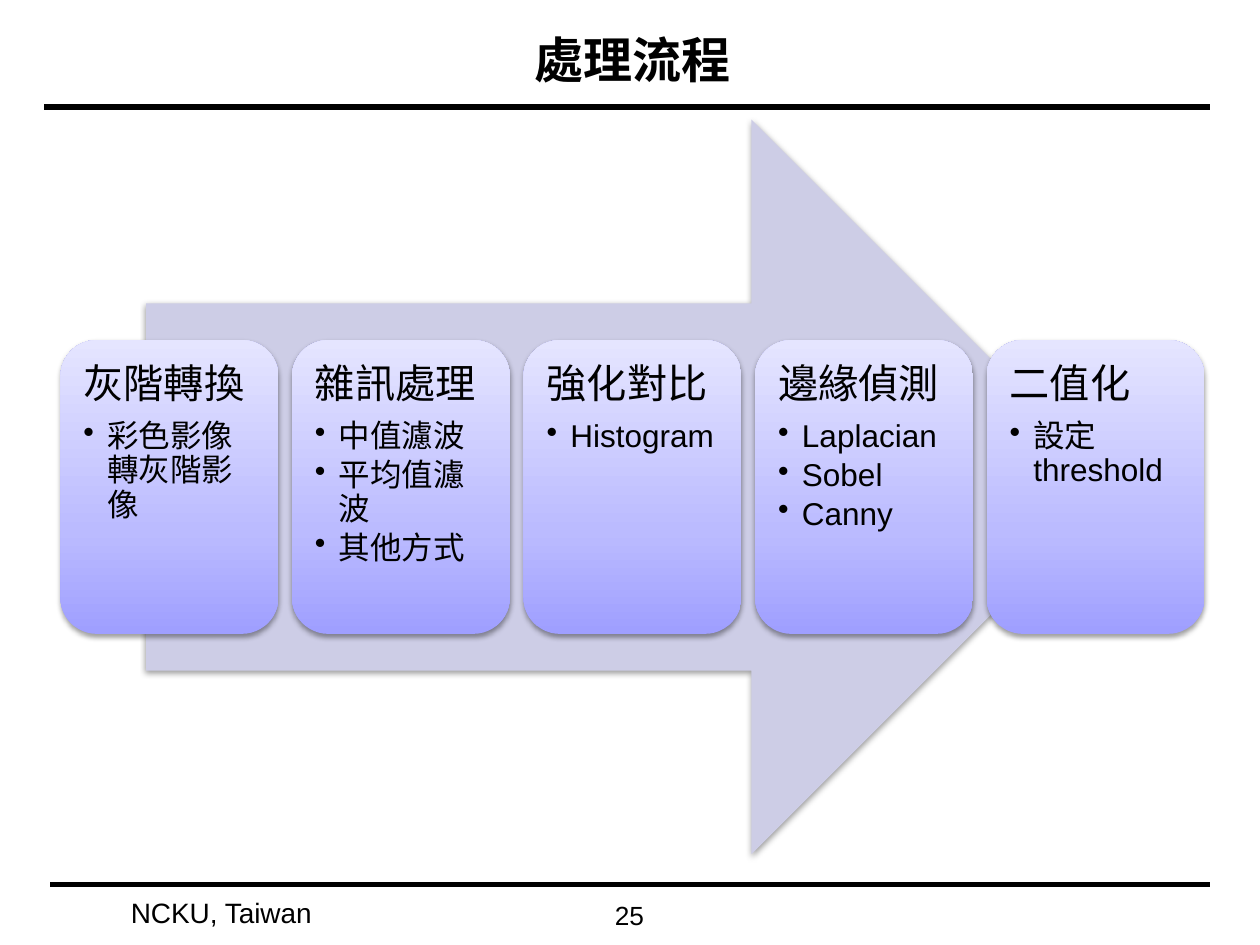
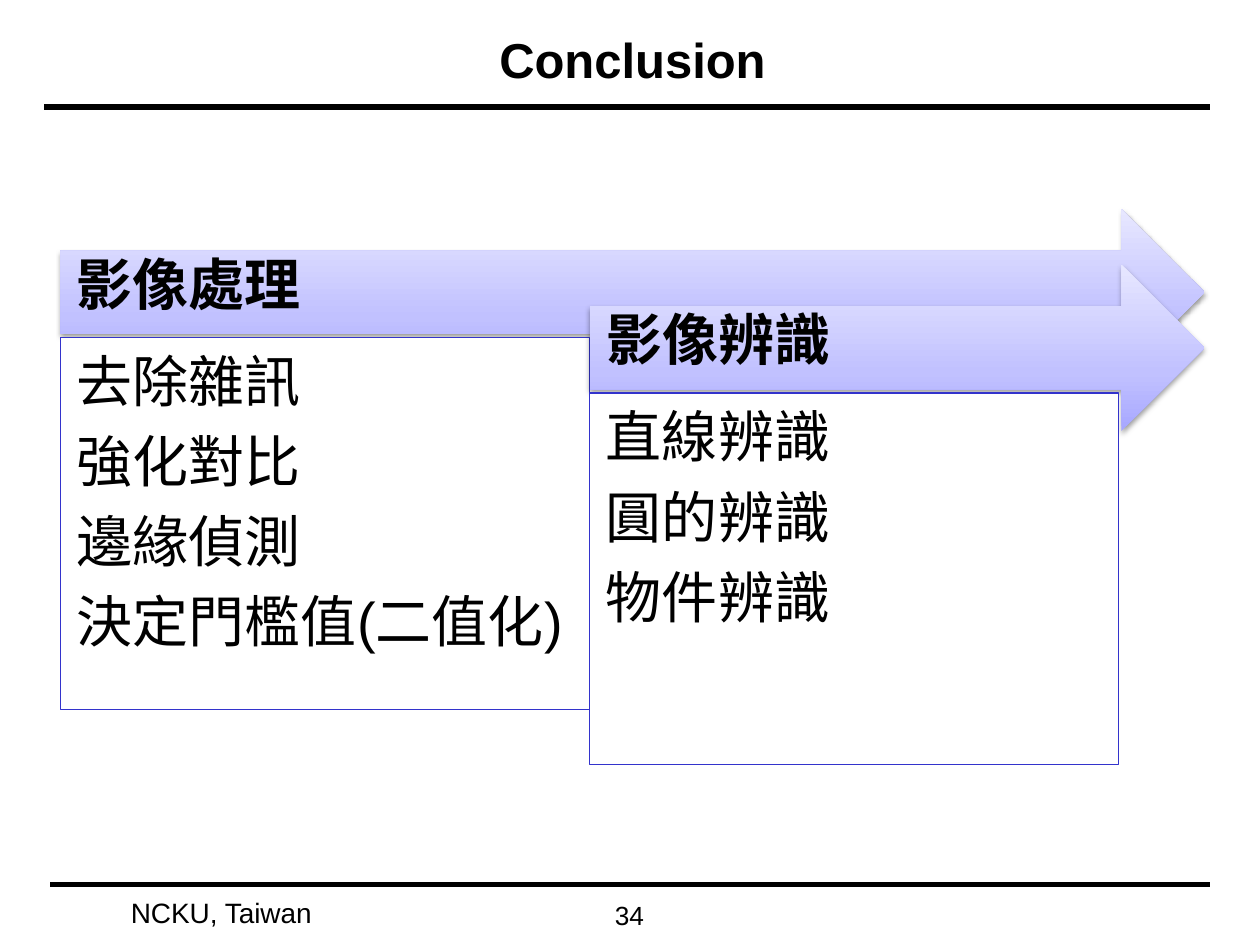
from pptx import Presentation
from pptx.dml.color import RGBColor
from pptx.enum.shapes import MSO_CONNECTOR, MSO_SHAPE
from pptx.enum.text import MSO_ANCHOR, PP_ALIGN
from pptx.oxml.ns import qn
from pptx.util import Inches, Pt
from lxml import etree

BLACK = RGBColor(0x00, 0x00, 0x00)
WHITE = RGBColor(0xFF, 0xFF, 0xFF)
BLUE = RGBColor(0x33, 0x33, 0xCC)
PALE = RGBColor(0xCD, 0xCD, 0xE6)
CARD = (RGBColor(0x9F, 0x9F, 0xFF), RGBColor(0xBB, 0xBB, 0xFF), RGBColor(0xE5, 0xE5, 0xFF))
BAND = (RGBColor(0xA7, 0xA7, 0xFF), RGBColor(0xC1, 0xC1, 0xFF), RGBColor(0xE7, 0xE7, 0xFF))
STOPS = (0, 35000, 100000)
FONT = "Arial"

ARROW = MSO_SHAPE.RIGHT_ARROW
ROUND = MSO_SHAPE.ROUNDED_RECTANGLE
RECT = MSO_SHAPE.RECTANGLE
LINE = MSO_CONNECTOR.STRAIGHT
LEFT, CENTER = PP_ALIGN.LEFT, PP_ALIGN.CENTER
TOP, MIDDLE = MSO_ANCHOR.TOP, MSO_ANCHOR.MIDDLE

STEPS = [
    ("灰階轉換", ["彩色影像轉灰階影像"]),
    ("雜訊處理", ["中值濾波", "平均值濾波", "其他方式"]),
    ("強化對比", ["Histogram"]),
    ("邊緣偵測", ["Laplacian", "Sobel", "Canny"]),
    ("二值化", ["設定threshold"]),
]
TOPICS = [
    ("影像處理", ["去除雜訊", "強化對比", "邊緣偵測", "決定門檻值(二值化)"]),
    ("影像辨識", ["直線辨識", "圓的辨識", "物件辨識"]),
]


def node(parent, tag, **attrs):
    """Add a drawing element with attributes."""
    return etree.SubElement(parent, qn(tag), {k: str(v) for k, v in attrs.items()})


def write(par, text, size, bold=False, align=LEFT):
    """Write one run into a paragraph."""
    par.alignment = align
    run = par.add_run()
    run.text = text
    font = run.font
    font.name, font.size, font.bold = FONT, Pt(size), bold
    font.color.rgb = BLACK


def fill_text(shape, items, pads, anchor=TOP):
    """Fill a shape with (text, size, bold, bullet) paragraphs."""
    frame = shape.text_frame
    frame.word_wrap = True
    frame.vertical_anchor = anchor
    frame.margin_left, frame.margin_top, frame.margin_right, frame.margin_bottom = map(Inches, pads)
    for i, (text, size, bold, bullet) in enumerate(items):
        par = frame.paragraphs[0] if i == 0 else frame.add_paragraph()
        if bullet:
            props = par._p.get_or_add_pPr()
            props.set("marL", str(Inches(0.19)))
            props.set("indent", str(-Inches(0.19)))
            node(props, "a:buChar", char="•")
            par.level = 1
        par.line_spacing = 0.9
        par.space_after = Pt(round(size * (0.15 if bullet else 0.35), 1))
        write(par, text, size, bold)


def add_form(slide, kind, box, paint, edge=None):
    """Add a shape with a flat or graded fill and an optional edge."""
    shape = slide.shapes.add_shape(kind, *map(Inches, box))
    shape.shadow.inherit = False
    if isinstance(paint, RGBColor):
        shape.fill.solid()
        shape.fill.fore_color.rgb = paint
    else:
        shape.fill.gradient()
        shape.fill.gradient_angle = 90
        stops = shape._element.spPr.find(".//" + qn("a:gsLst"))
        for old in list(stops):
            stops.remove(old)
        for pos, color in zip(STOPS, paint):
            node(node(stops, "a:gs", pos=pos), "a:srgbClr", val=color)
    if edge is None:
        shape.line.fill.background()
    else:
        shape.line.color.rgb = edge
        shape.line.width = Pt(0.75)
    return shape


def cast(shape):
    """Give a shape a soft shadow below it."""
    effects = shape._element.spPr.find(qn("a:effectLst"))
    shade = node(effects, "a:outerShdw", blurRad=Pt(3.1), dist=Pt(1.6), dir=5400000, rotWithShape=0)
    node(node(shade, "a:srgbClr", val=BLACK), "a:alpha", val=38000)


def add_rule(slide, left, right, top):
    """Draw a heavy level line."""
    rule = slide.shapes.add_connector(LINE, Inches(left), Inches(top), Inches(right), Inches(top))
    rule.line.color.rgb = BLACK
    rule.line.width = Pt(3)
    node(rule._element.spPr, "a:effectLst")


def add_label(slide, box, text, size, bold=False, align=CENTER, wrap=True, anchor=TOP):
    """Add a one-line text box."""
    frame = slide.shapes.add_textbox(*map(Inches, box)).text_frame
    frame.word_wrap = wrap
    frame.vertical_anchor = anchor
    write(frame.paragraphs[0], text, size, bold, align)


def add_page(deck, title, number):
    """Add a slide with its title, rules and footer."""
    slide = deck.slides.add_slide(deck.slide_layouts[6])
    add_rule(slide, 0.4, 9.6, 7.02)
    add_rule(slide, 0.35, 9.6, 0.85)
    add_label(slide, (0.94, 7.06, 1.67, 0.37), "NCKU, Taiwan", 16, align=LEFT, wrap=False)
    add_label(slide, (0.47, 0.16, 9.1, 0.61), title, 28, bold=True, anchor=MIDDLE)
    add_label(slide, (4.1, 7.09, 1.79, 0.34), str(number), 15)
    return slide


def add_flow(slide, left, top, width, height):
    """Lay step cards in a row across a wide arrow."""
    inset = width * 0.075
    cast(add_form(slide, ARROW, (left + inset, top, width - 2 * inset, height), PALE))
    card, tall = 1.73, height * 0.4
    pitch = (width - card) / (len(STEPS) - 1)
    for i, (head, points) in enumerate(STEPS):
        box = (left + i * pitch, top + 0.3 * height, card, tall)
        shape = add_form(slide, ROUND, box, CARD)
        cast(shape)
        items = [(head, 23, False, False)] + [(point, 18, False, True) for point in points]
        fill_text(shape, items, (0.1, 0.1, 0.1, 0.1))


def add_stairs(slide, left, top, width):
    """Step arrows down to the right, each over a list."""
    column, drop, tall = 4.2, 0.44, 1.32
    for i, (head, points) in enumerate(TOPICS):
        x, y = left + i * column, top + i * drop
        band = add_form(slide, ARROW, (x, y, width - i * column, tall), BAND)
        cast(band)
        fill_text(band, [(head, 32, True, False)], (0.13, 0.13, 0.28, 0.21), MIDDLE)
        panel = add_form(slide, RECT, (x, y + 1.02, column, 2.95), WHITE, BLUE)
        fill_text(panel, [(point, 32, False, False) for point in points], (0.13, 0.13, 0.13, 0.13))


def main():
    """Build and save the deck."""
    deck = Presentation()
    deck.slide_width, deck.slide_height = Inches(10), Inches(7.5)
    add_flow(add_page(deck, "處理流程", 25), 0.48, 0.95, 9.08, 5.83)
    add_stairs(add_page(deck, "Conclusion", 34), 0.48, 1.66, 9.08)
    deck.save("out.pptx")


if __name__ == "__main__":
    main()
